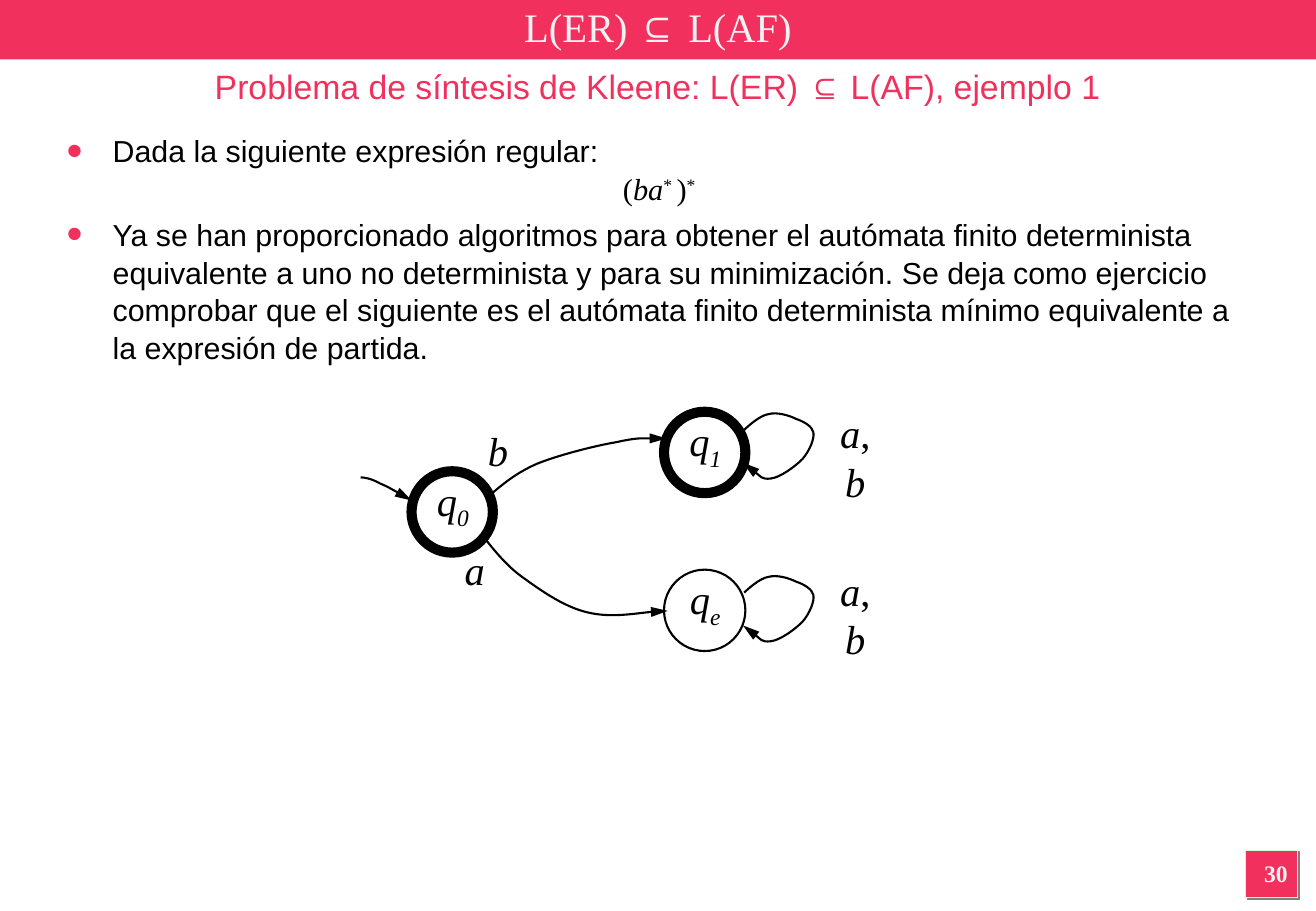
from dataclasses import dataclass

from lxml.etree import SubElement
from pptx import Presentation
from pptx.dml.color import RGBColor
from pptx.enum.shapes import MSO_SHAPE
from pptx.enum.text import MSO_ANCHOR, MSO_AUTO_SIZE, PP_ALIGN
from pptx.oxml.ns import qn
from pptx.util import Inches, Pt

Point = tuple[float, float]


@dataclass(frozen=True)
class Theme:
    accent: str = "F2305E"
    ink: str = "000000"
    pale: str = "F2F2F2"
    badge_edge: str = "CCFFCC"
    badge_shadow: str = "808080"
    sans: str = "Arial"
    serif: str = "Times New Roman"
    heading: float = 24
    subtitle: float = 20
    body: float = 18
    symbol: float = 24
    page: float = 14
    thin: float = 1.25
    thick: float = 6
    badge_line: float = 0.75
    body_spacing: float = 1.04
    body_gap: float = 4.5


THEME = Theme()


@dataclass(frozen=True)
class Piece:
    text: str
    font: str = THEME.serif
    italic: bool = False
    bold: bool = False
    baseline: int = 0


@dataclass(frozen=True)
class State:
    subscript: str
    left: float
    top: float
    accepting: bool


@dataclass(frozen=True)
class Label:
    pieces: tuple[Piece, ...]
    left: float
    top: float
    width: float
    height: float = 0.5


STATE_SIZE = 0.67
STATES = (
    State("0", 3.39, 3.88, True),
    State("1", 5.47, 3.39, True),
    State("e", 5.47, 4.69, False),
)

# Each curve is a start point followed by three points per Bézier segment.
START_ARROW = [(2.97, 3.93), (3, 3.93), (3.06, 3.94), (3.13, 3.98),
               (3.2, 4.01), (3.34, 4.09), (3.39, 4.12)]
B_ARROW = [(4.03, 4.08), (4.14, 3.99), (4.24, 3.9), (4.42, 3.82), (4.59, 3.75),
           (4.9, 3.67), (5.08, 3.64), (5.26, 3.6), (5.41, 3.61), (5.49, 3.61)]
A_ARROW = [(3.99, 4.43), (4.04, 4.49), (4.16, 4.65), (4.3, 4.75), (4.44, 4.85),
           (4.63, 4.99), (4.83, 5.04), (5.03, 5.09), (5.36, 5.03), (5.5, 5.03)]
LOOP = [(6.13, 3.54), (6.16, 3.51), (6.26, 3.42), (6.33, 3.41), (6.4, 3.39),
        (6.5, 3.42), (6.56, 3.45), (6.62, 3.47), (6.69, 3.51), (6.7, 3.56),
        (6.71, 3.61), (6.67, 3.71), (6.61, 3.78), (6.55, 3.84), (6.43, 3.93),
        (6.35, 3.94), (6.27, 3.95), (6.17, 3.84), (6.12, 3.81)]
LOOP_STEP = 1.34
LOWER_LOOP = [(x, y + LOOP_STEP) for x, y in LOOP]

A, B = Piece("a", italic=True), Piece("b", italic=True)
A_OR_B = (A, Piece(","), B)
LABELS = (
    Label((B,), 3.92, 3.46, 0.36),
    Label((A,), 3.73, 4.44, 0.36),
    Label(A_OR_B, 6.74, 3.31, 0.61),
    Label(A_OR_B, 6.74, 4.61, 0.61),
)

FORMULA = (Piece("("), Piece("ba", italic=True), Piece("* ", baseline=30),
           Piece(")"), Piece("*", baseline=30))
GIVEN = "Dada la siguiente expresión regular:"
EXERCISE = (
    "Ya se han proporcionado algoritmos para obtener el autómata finito determinista "
    "equivalente a uno no determinista y para su minimización. Se deja como ejercicio "
    "comprobar que el siguiente es el autómata finito determinista mínimo equivalente a "
    "la expresión de partida."
)


def write(paragraph, pieces: tuple[Piece, ...], size: float, color: str) -> None:
    for piece in pieces:
        run = paragraph.add_run()
        run.text = piece.text
        run.font.name = piece.font
        run.font.size = Pt(size)
        run.font.italic = piece.italic
        run.font.bold = piece.bold
        run.font.color.rgb = RGBColor.from_string(color)
        if piece.baseline:
            run._r.get_or_add_rPr().set("baseline", str(piece.baseline * 1000))


def add_frame(slide, left: float, top: float, width: float, height: float, wrap: bool = True):
    frame = slide.shapes.add_textbox(*map(Inches, (left, top, width, height))).text_frame
    frame.word_wrap = wrap
    return frame


def add_centered(slide, box: tuple[float, float, float, float], pieces: tuple[Piece, ...],
                 size: float, color: str, wrap: bool = True):
    frame = add_frame(slide, *box, wrap=wrap)
    frame.paragraphs[0].alignment = PP_ALIGN.CENTER
    write(frame.paragraphs[0], pieces, size, color)
    return frame


def add_panel(slide, left: float, top: float, width: float, height: float):
    panel = slide.shapes.add_shape(MSO_SHAPE.RECTANGLE, *map(Inches, (left, top, width, height)))
    panel.shadow.inherit = False
    panel.fill.solid()
    panel.fill.fore_color.rgb = RGBColor.from_string(THEME.accent)
    panel.line.fill.background()
    return panel


def add_page_badge(slide) -> None:
    badge = add_panel(slide, 10.26, 7, 0.43, 0.39)
    badge.line.color.rgb = RGBColor.from_string(THEME.badge_edge)
    badge.line.width = Pt(THEME.badge_line)
    effects = badge._element.spPr.find(qn("a:effectLst"))
    shadow = SubElement(effects, qn("a:outerShdw"), dist=str(Pt(1.4)), dir="2700000")
    SubElement(shadow, qn("a:srgbClr"), val=THEME.badge_shadow)


def outline(shape, width: float) -> None:
    shape.shadow.inherit = False
    shape.fill.background()
    shape.line.color.rgb = RGBColor.from_string(THEME.ink)
    shape.line.width = Pt(width)


def add_state(slide, state: State) -> None:
    circle = slide.shapes.add_shape(
        MSO_SHAPE.OVAL, *map(Inches, (state.left, state.top, STATE_SIZE, STATE_SIZE)))
    outline(circle, THEME.thick if state.accepting else THEME.thin)
    name = (Piece("q", italic=True), Piece(state.subscript, italic=True, baseline=-25))
    add_centered(slide, (state.left + 0.11, state.top - 0.01, 0.46, 0.56), name,
                 THEME.symbol, THEME.ink, wrap=False)


def add_curved_arrow(slide, points: list[Point]) -> None:
    """Draw the control polygon, then turn every three segments into one Bézier curve."""
    start, *rest = [(Inches(x), Inches(y)) for x, y in points]
    builder = slide.shapes.build_freeform(*start)
    builder.add_line_segments(rest, close=False)
    arrow = builder.convert_to_shape()
    outline(arrow, THEME.thin)
    properties = arrow._element.spPr
    path = next(properties.iter(qn("a:path")))
    segments = path.findall(qn("a:lnTo"))
    for first in range(0, len(segments), 3):
        curve = SubElement(path, qn("a:cubicBezTo"))
        for segment in segments[first:first + 3]:
            curve.append(segment[0])
            path.remove(segment)
    SubElement(properties.find(qn("a:ln")), qn("a:tailEnd"), type="triangle", w="med", len="lg")


def add_body(slide) -> None:
    frame = add_frame(slide, 0.45, 1.03, 9.96, 5.8)
    for index, pieces in enumerate(((Piece(GIVEN, THEME.sans),), FORMULA,
                                    (Piece(EXERCISE, THEME.sans),))):
        paragraph = frame.add_paragraph() if index else frame.paragraphs[0]
        paragraph.line_spacing = THEME.body_spacing
        properties = paragraph._p.get_or_add_pPr()
        properties.set("marL", str(Inches(0.38)))
        properties.set("indent", str(-Inches(0.38)))
        if pieces is FORMULA:
            paragraph.alignment = PP_ALIGN.CENTER
        else:
            if index:
                paragraph.space_before = Pt(THEME.body_gap)
            bullet_color = SubElement(properties, qn("a:buClr"))
            SubElement(bullet_color, qn("a:srgbClr"), val=THEME.accent)
            SubElement(properties, qn("a:buSzPct"), val="150000")
            SubElement(properties, qn("a:buFont"), typeface=THEME.sans)
            SubElement(properties, qn("a:buChar"), char="•")
        write(paragraph, pieces, THEME.body, THEME.ink)


def main() -> None:
    deck = Presentation()
    deck.slide_width, deck.slide_height = Inches(10.84), Inches(7.5)
    slide = deck.slides.add_slide(deck.slide_layouts[6])
    add_page_badge(slide)
    add_panel(slide, 0, 0, 10.84, 0.49)
    add_body(slide)
    heading = (Piece("L(ER) "), Piece("⊆", THEME.sans), Piece(" L(AF)"))
    add_centered(slide, (0, 0, 10.84, 0.44), heading, THEME.heading,
                 THEME.pale).vertical_anchor = MSO_ANCHOR.MIDDLE
    subtitle = Piece("Problema de síntesis de Kleene: L(ER) ⊆ L(AF), ejemplo 1", THEME.sans)
    add_centered(slide, (0, 0.49, 10.84, 0.44), (subtitle,), THEME.subtitle,
                 THEME.accent).auto_size = MSO_AUTO_SIZE.SHAPE_TO_FIT_TEXT
    for state in STATES:
        add_state(slide, state)
    for points in (START_ARROW, B_ARROW, A_ARROW, LOOP, LOWER_LOOP):
        add_curved_arrow(slide, points)
    for label in LABELS:
        add_centered(slide, (label.left, label.top, label.width, label.height), label.pieces,
                     THEME.symbol, THEME.ink, wrap=False)
    add_centered(slide, (10.24, 7.02, 0.54, 0.35), (Piece("30", bold=True),),
                 THEME.page, THEME.pale)
    deck.save("out.pptx")


if __name__ == "__main__":
    main()
